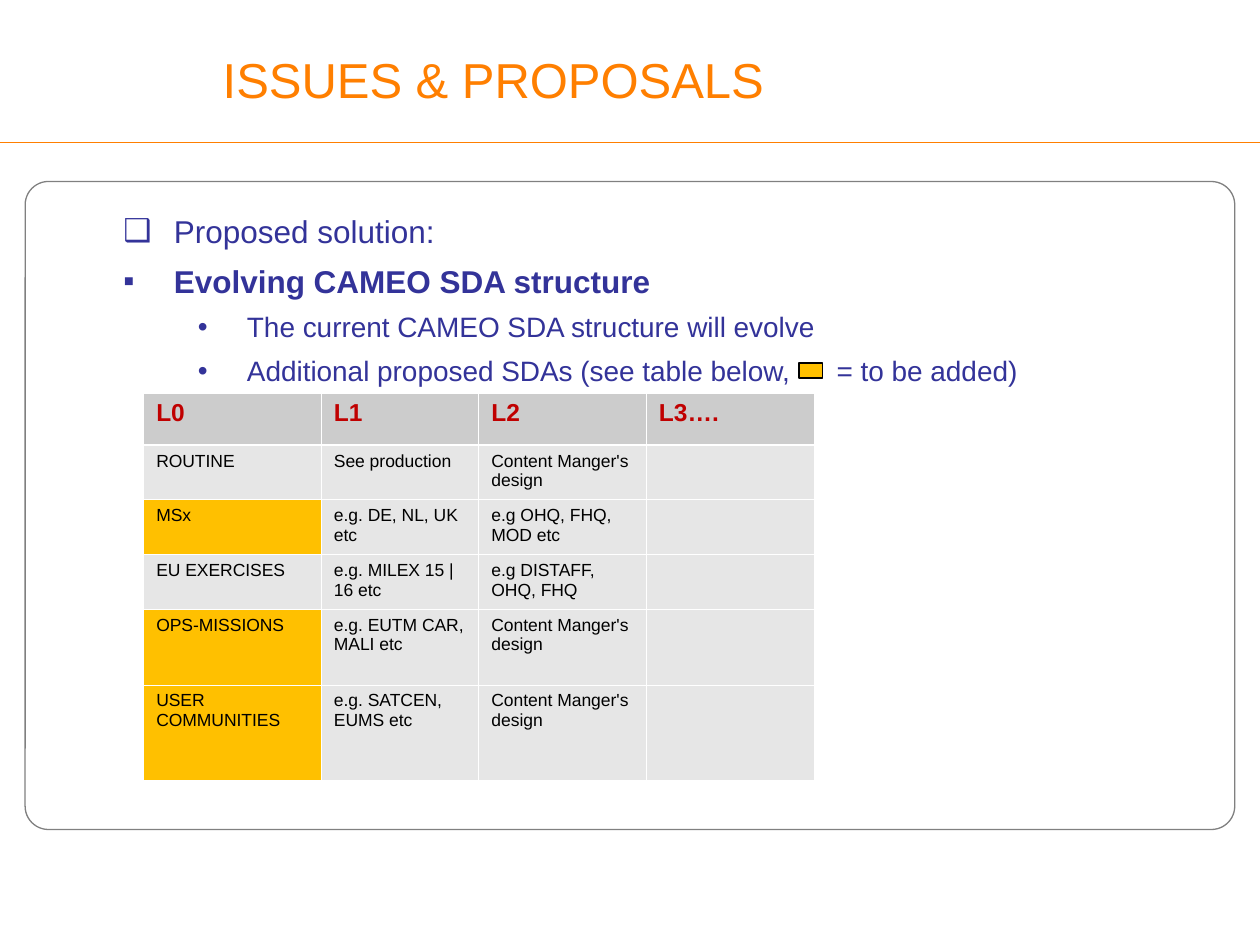
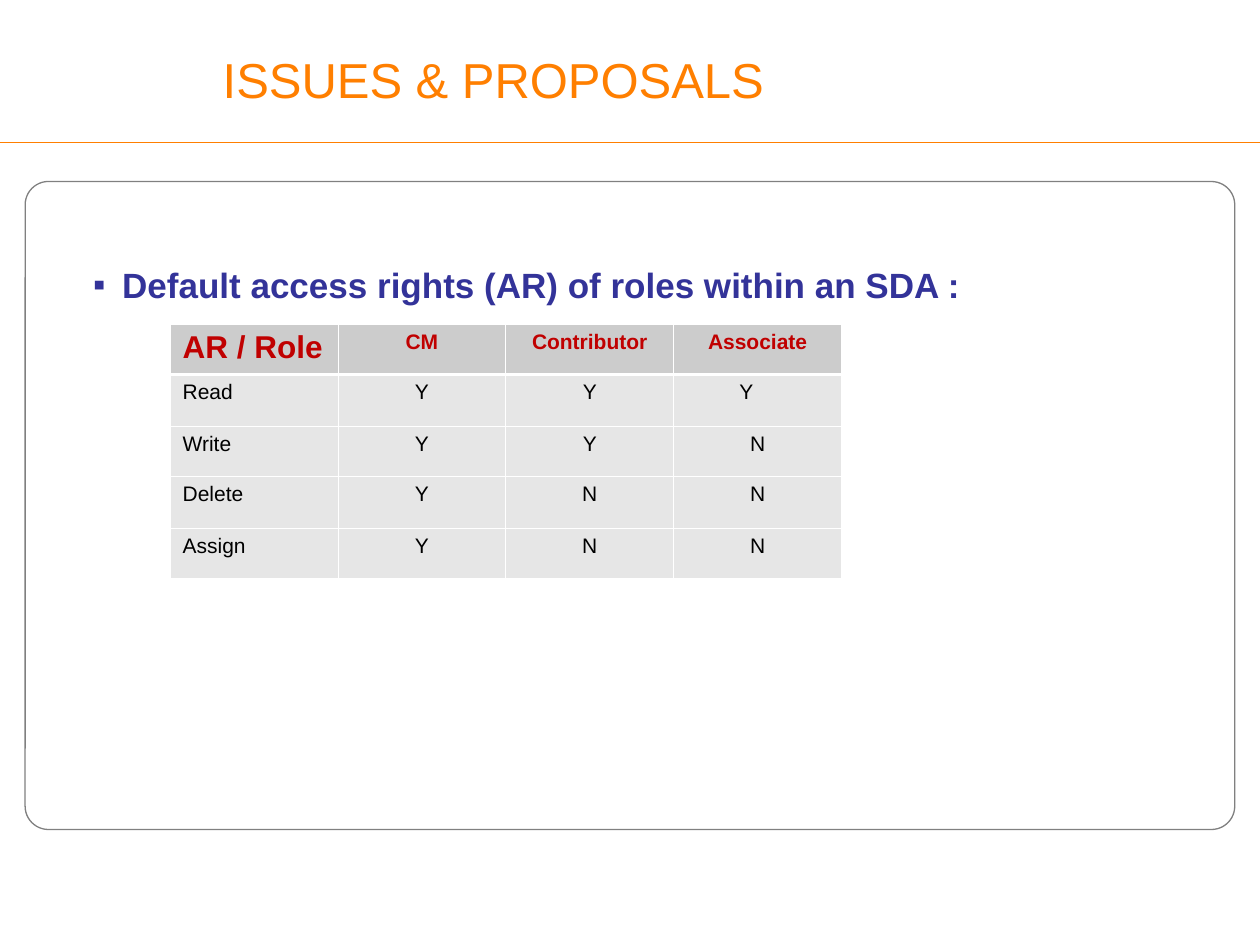
from dataclasses import dataclass

from lxml import etree
from pptx import Presentation
from pptx.dml.color import RGBColor
from pptx.enum.shapes import MSO_CONNECTOR as Connector, MSO_SHAPE as Shape
from pptx.enum.text import MSO_ANCHOR as Anchor, PP_ALIGN as Align
from pptx.oxml import parse_xml
from pptx.oxml.ns import nsdecls, qn
from pptx.util import Inches, Pt

FONT = "Arial"
SLIDE_WIDTH = Inches(10)
SLIDE_HEIGHT = Inches(19 / 2.54)  # 19 cm
COLORS = {
    "accent": "FF7F00", "body": "333399", "frame": "808080", "header": "CCCCCC",
    "header_text": "C00000", "cell": "E6E6E6", "added": "FFC000",
    "black": "000000", "white": "FFFFFF",
}


@dataclass
class Bullet:
    text: str
    char: str
    size: float
    left: float
    hang: float
    before: float = 0
    bold: bool = False
    gap: float = 0  # extra points at each "|" in the text, room for a key box


@dataclass
class Grid:
    left: float
    top: float
    cols: list[float]
    rows: list[float]
    cells: list[list[str]]
    header_sizes: list[float]
    body_size: float
    centered: bool = False
    added: tuple[str, ...] = ()


def rgb(name: str) -> RGBColor:
    return RGBColor.from_string(COLORS[name])


def style_runs(p, size: float, color: str, bold: bool = False) -> None:
    for r in p.runs:
        r.font.name, r.font.size, r.font.bold = FONT, Pt(size), bold
        r.font.color.rgb = rgb(color)


def add_box(slide, left: float, top: float, width: float, height: float, inset: float):
    tf = slide.shapes.add_textbox(
        Inches(left), Inches(top), Inches(width), Inches(height)).text_frame
    tf.word_wrap = True
    tf.margin_left = tf.margin_right = tf.margin_top = tf.margin_bottom = Inches(inset)
    return tf


def add_shape(slide, kind, left: float, top: float, width: float, height: float,
              line: str, fill: str = ""):
    sp = slide.shapes.add_shape(
        kind, Inches(left), Inches(top), Inches(width), Inches(height))
    sp.shadow.inherit = False
    sp.line.color.rgb, sp.line.width = rgb(line), Pt(0.75)
    if fill:
        sp.fill.solid()
        sp.fill.fore_color.rgb = rgb(fill)
    else:
        sp.fill.background()
    return sp


def add_base_slide(prs):
    """Blank slide with the shared rule, frame and title."""
    slide = prs.slides.add_slide(prs.slide_layouts[6])

    # Rule under the title
    rule = slide.shapes.add_connector(
        Connector.STRAIGHT, 0, Inches(1.13), SLIDE_WIDTH, Inches(1.13))
    rule.line.color.rgb, rule.line.width = rgb("accent"), Pt(0.75)
    etree.SubElement(rule._element.spPr, qn("a:effectLst"))

    # Content frame
    frame = add_shape(slide, Shape.ROUNDED_RECTANGLE, 0.2, 1.44, 9.6, 5.14, "frame")
    frame.adjustments[0] = 0.036

    # Title
    tf = add_box(slide, 0.32, 0.23, 7.19, 0.8, 0)
    tf.vertical_anchor = Anchor.MIDDLE
    p = tf.paragraphs[0]
    p.text, p.alignment = "ISSUES & PROPOSALS", Align.CENTER
    style_runs(p, 28, "accent")
    return slide


def add_bullets(slide, top: float, height: float, bullets: list[Bullet]) -> None:
    tf = add_box(slide, 0, top, 10, height, 0.39)
    for i, b in enumerate(bullets):
        p = tf.add_paragraph() if i else tf.paragraphs[0]
        pPr = p._p.get_or_add_pPr()
        pPr.set("marL", str(Inches(b.left)))
        pPr.set("indent", str(-Inches(b.hang)))
        color = etree.SubElement(pPr, qn("a:buClr"))
        etree.SubElement(color, qn("a:srgbClr"), val=COLORS["body"])
        etree.SubElement(pPr, qn("a:buFont"), typeface=FONT)
        etree.SubElement(pPr, qn("a:buChar"), char=b.char)
        if b.before:
            p.space_before = Pt(b.before)
        for j, part in enumerate(b.text.split("|")):
            if j:
                space = p.add_run()
                space.text = " "
                space._r.get_or_add_rPr().set("spc", str(int(b.gap * 100)))
            p.add_run().text = part
        style_runs(p, b.size, "body", b.bold)


def set_borders(cell, top: float, bottom: float) -> None:
    tcPr = cell._tc.get_or_add_tcPr()
    widths = {"lnL": 0.45, "lnR": 0.45, "lnT": top, "lnB": bottom}
    for i, (tag, width) in enumerate(widths.items()):
        tcPr.insert(i, parse_xml(
            f'<a:{tag} {nsdecls("a")} w="{Pt(width)}"><a:solidFill>'
            f'<a:srgbClr val="{COLORS["white"]}"/></a:solidFill></a:{tag}>'))


def add_grid(slide, grid: Grid):
    table = slide.shapes.add_table(
        len(grid.rows), len(grid.cols), Inches(grid.left), Inches(grid.top),
        Inches(sum(grid.cols)), Inches(sum(grid.rows))).table
    table.horz_banding = False
    for column, width in zip(table.columns, grid.cols):
        column.width = Inches(width)
    for row, height in zip(table.rows, grid.rows):
        row.height = Inches(height)
    for i, texts in enumerate(grid.cells):
        for j, text in enumerate(texts):
            cell = table.cell(i, j)
            fill = "header" if i == 0 else "added" if text in grid.added else "cell"
            cell.fill.solid()
            cell.fill.fore_color.rgb = rgb(fill)
            set_borders(cell, 1.47 if i == 1 else 0.45, 1.47 if i == 0 else 0.45)
            cell.text = text
            p = cell.text_frame.paragraphs[0]
            if grid.centered and j:
                p.alignment = Align.CENTER
            if i == 0:
                style_runs(p, grid.header_sizes[j], "header_text", True)
            else:
                style_runs(p, grid.body_size, "black")
    return table


def build_structure_slide(prs) -> None:
    slide = add_base_slide(prs)
    add_bullets(slide, 1.29, 5.64, [
        Bullet("Proposed solution:", "❑", 18, 0.99, 0.4),
        Bullet("Evolving CAMEO SDA structure", "▪", 18, 0.99, 0.4, 6.8, True),
        Bullet("The current CAMEO SDA structure will evolve", "•", 16, 1.57, 0.39, 6),
        Bullet("Additional proposed SDAs (see table below,|= to be added)",
               "•", 16, 1.57, 0.39, 6, gap=22),
    ])
    design = "Content Manger's design"
    add_grid(slide, Grid(
        1.14, 3.12, [1.41, 1.25, 1.33, 1.33], [0.41, 0.43, 0.43, 0.43, 0.6, 0.76],
        [["L0", "L1", "L2", "L3…."],
         ["ROUTINE", "See production", design, ""],
         ["MSx", "e.g. DE, NL, UK etc", "e.g OHQ, FHQ, MOD etc", ""],
         ["EU EXERCISES", "e.g. MILEX 15 | 16 etc", "e.g DISTAFF, OHQ, FHQ", ""],
         ["OPS-MISSIONS", "e.g. EUTM CAR, MALI etc", design, ""],
         ["USER COMMUNITIES", "e.g. SATCEN, EUMS etc", design, ""]],
        [14] * 4, 10, added=("MSx", "OPS-MISSIONS", "USER COMMUNITIES")))

    # Colour key inside the last bullet
    add_shape(slide, Shape.RECTANGLE, 6.34, 2.88, 0.19, 0.12, "black", "added")


def build_rights_slide(prs) -> None:
    slide = add_base_slide(prs)
    add_bullets(slide, 1.92, 5, [
        Bullet("Default access rights (AR) of roles within an SDA :",
               "▪", 20, 0.58, 0.23, bold=True),
    ])
    table = add_grid(slide, Grid(
        1.35, 2.57, [5.33 / 4] * 4, [0.4, 0.41, 0.4, 0.41, 0.4],
        [["AR / Role", "CM", "Contributor", "Associate"],
         ["Read", "Y", "Y", "Y"],
         ["Write", "Y", "Y", "N"],
         ["Delete", "Y", "N", "N"],
         ["Assign", "Y", "N", "N"]],
        [18, 12, 12, 12], 12, centered=True))
    # The associate's read right sits left of centre
    table.cell(1, 3).margin_right = Inches(0.28)


def main() -> None:
    prs = Presentation()
    prs.slide_width = SLIDE_WIDTH
    prs.slide_height = SLIDE_HEIGHT
    build_structure_slide(prs)
    build_rights_slide(prs)
    prs.save("out.pptx")


if __name__ == "__main__":
    main()
